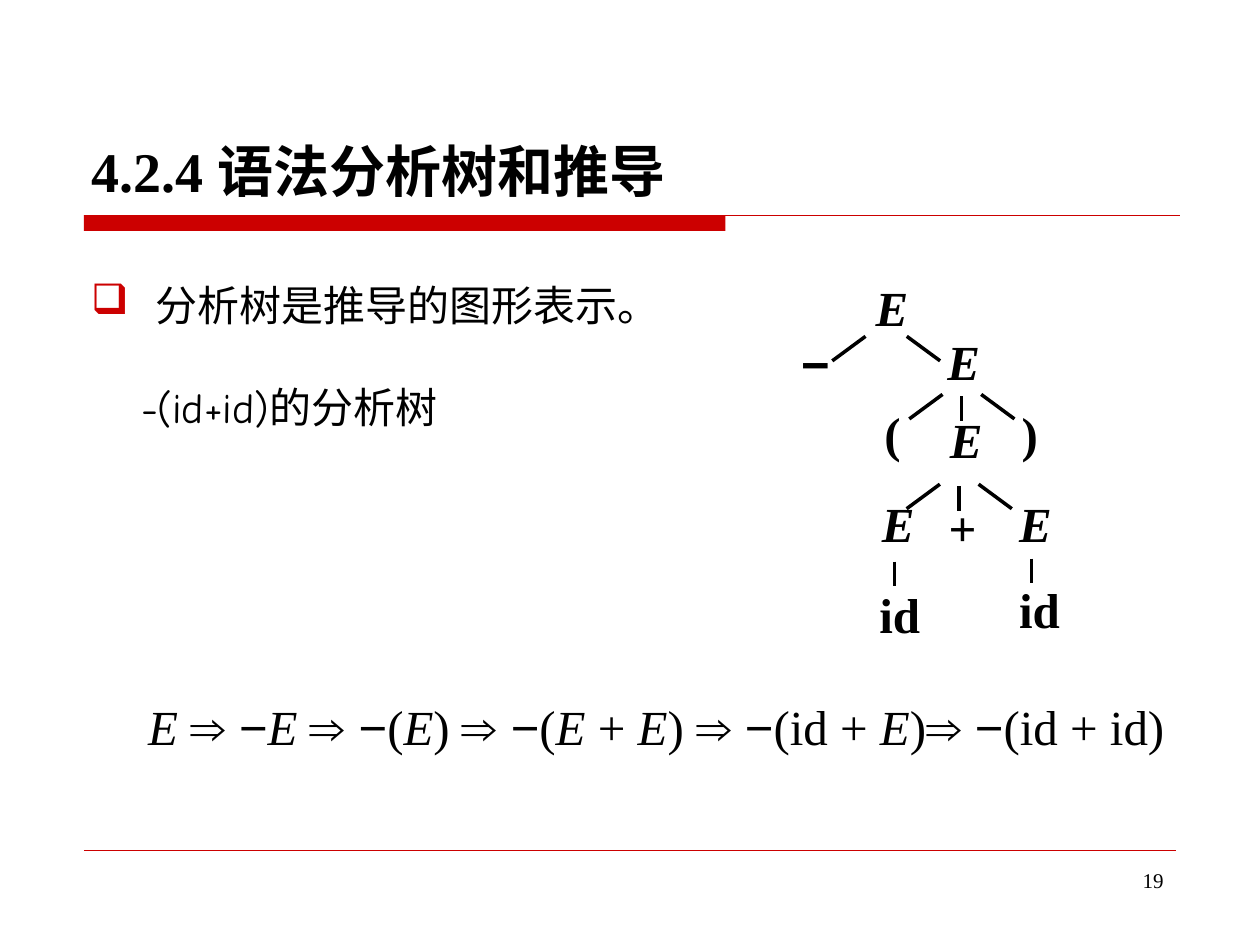
"""Build the slide on parse trees and derivations."""
from dataclasses import dataclass
from itertools import groupby

from lxml import etree
from pptx import Presentation
from pptx.dml.color import RGBColor
from pptx.enum.shapes import MSO_CONNECTOR, MSO_SHAPE
from pptx.enum.text import MSO_ANCHOR, PP_ALIGN
from pptx.oxml.ns import qn
from pptx.util import Pt

STRAIGHT = MSO_CONNECTOR.STRAIGHT
RECTANGLE = MSO_SHAPE.RECTANGLE
TOP, BOTTOM = MSO_ANCHOR.TOP, MSO_ANCHOR.BOTTOM
LEFT, CENTER, RIGHT = PP_ALIGN.LEFT, PP_ALIGN.CENTER, PP_ALIGN.RIGHT


@dataclass(frozen=True)
class Theme:
    ink: RGBColor = RGBColor(0, 0, 0)
    accent: RGBColor = RGBColor(0xCC, 0, 0)
    serif: str = "Times New Roman"
    symbol: str = "Arial"
    comic: str = "Comic Neue"
    title: int = 32
    formula: int = 28
    body: int = 24
    number: int = 12


theme = Theme()
deck = Presentation()
deck.slide_width, deck.slide_height = Pt(720), Pt(540)
page = deck.slides.add_slide(deck.slide_layouts[6])


def add_span(para, text, size, font=theme.serif, bold=False, italic=False):
    span = para.add_run()
    span.text = text
    span.font.size = Pt(size)
    span.font.name = font
    span.font.bold = bold
    span.font.italic = italic
    span.font.color.rgb = theme.ink


def add_text(text, frame, size, align=LEFT, anchor=TOP, inset=(7.2, 3.6), **style):
    box = page.shapes.add_textbox(*map(Pt, frame))
    body = box.text_frame
    body.word_wrap = True
    body.vertical_anchor = anchor
    body.margin_left = body.margin_right = Pt(inset[0])
    body.margin_top = body.margin_bottom = Pt(inset[1])
    para = body.paragraphs[0]
    para.alignment = align
    if text:
        add_span(para, text, size, **style)
    return para


bar = page.shapes.add_shape(RECTANGLE, Pt(48), Pt(123), Pt(366.5), Pt(9))
bar.shadow.inherit = False
bar.fill.solid()
bar.fill.fore_color.rgb = theme.accent
bar.line.fill.background()

add_text("19", (516, 492, 156, 37.5), theme.number, align=RIGHT)
add_text("4.2.4 语法分析树和推导", (45, 24, 630, 96), theme.title, anchor=BOTTOM, bold=True)

point = add_text("分析树是推导的图形表示。", (45, 156, 630, 336), theme.body)
layout = point._p.get_or_add_pPr()
layout.set("marL", str(Pt(36.7)))
layout.set("indent", str(Pt(-36.7)))
bullet_color = etree.SubElement(layout, qn("a:buClr"))
etree.SubElement(bullet_color, qn("a:srgbClr")).set("val", str(theme.accent))
etree.SubElement(layout, qn("a:buChar")).set("char", "❑")

add_text("-(id+id)的分析树", (73.5, 202.5, 630, 48), theme.body, anchor=BOTTOM, font=theme.comic)

nodes = [
    ("E", 499, 157.7),
    ("−", 456.5, 190), ("E", 540, 188.6),
    ("(", 504, 229.7), ("E", 541.4, 233.3), (")", 582.5, 229.7),
    ("E", 502.6, 281.5), ("+", 540.7, 283.7), ("E", 581, 281.5),
    ("id", 501.1, 333.4), ("id", 581, 330.5),
]
for label, left, top in nodes:
    add_text(label, (left, top, 28.8, 38), theme.formula, inset=(1.4, 0.7), bold=True,
             italic=label == "E", font=theme.symbol if label == "−" else theme.serif)

REACH, DROP = 19, 14
branches = [
    (494.6, 192.2, -REACH), (518.2, 192.2, REACH),
    (538.6, 225.4, -REACH), (549.5, 226.3, 0), (560.7, 225.4, REACH),
    (537.1, 276.7, -REACH), (548, 277.9, 0), (559.2, 276.7, REACH),
    (511.2, 321, 0), (589.5, 319.2, 0),
]
lines = [(x, y, x + shift, y + DROP, 2, theme.ink) for x, y, shift in branches]
lines += [(48, 123, 674.5, 123, 0.75, theme.accent), (48, 486, 672, 486, 0.25, theme.accent)]
for *ends, width, color in lines:
    line = page.shapes.add_connector(STRAIGHT, *map(Pt, ends))
    line.line.width = Pt(width)
    line.line.color.rgb = color
    etree.SubElement(line._element.spPr, qn("a:effectLst"))

derivation = add_text("", (-3, 394.5, 720, 41), theme.formula, align=CENTER)
derivation._p.get_or_add_pPr().set("marL", str(Pt(36)))
add_span(derivation, "E ", theme.formula, italic=True)
for step in ("E ", "(E) ", "(E + E) ", "(id + E)", "(id + id)"):
    add_span(derivation, "⇒ −", theme.formula, font=theme.symbol)
    for is_variable, letters in groupby(step, key=lambda letter: letter == "E"):
        add_span(derivation, "".join(letters), theme.formula, italic=is_variable)

deck.save("out.pptx")
